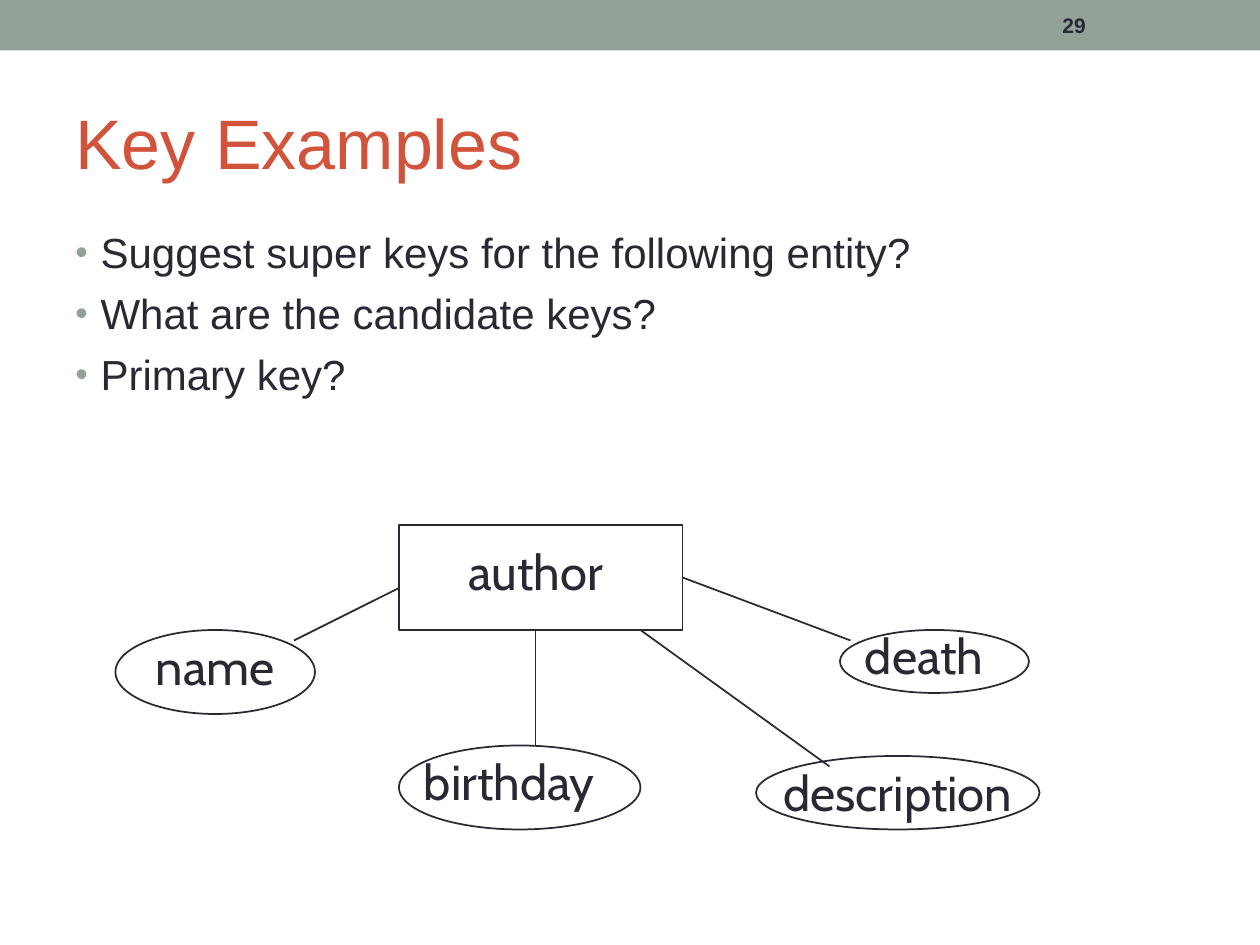
from dataclasses import dataclass

from lxml import etree
from pptx import Presentation
from pptx.dml.color import RGBColor
from pptx.enum.shapes import MSO_CONNECTOR, MSO_SHAPE
from pptx.enum.text import MSO_ANCHOR, PP_ALIGN
from pptx.oxml.ns import qn
from pptx.util import Inches, Pt

RECT, OVAL = MSO_SHAPE.RECTANGLE, MSO_SHAPE.OVAL
STRAIGHT = MSO_CONNECTOR.STRAIGHT
LEFT, CENTER = PP_ALIGN.LEFT, PP_ALIGN.CENTER
TOP, MIDDLE = MSO_ANCHOR.TOP, MSO_ANCHOR.MIDDLE
COLS, ROWS = 120, 90


@dataclass(frozen=True)
class Theme:
    """Colours, fonts and type sizes of the slide."""
    ink: str = "292934"
    accent: str = "D2533C"
    bar: str = "93A299"
    sans: str = "Arial"
    diagram: str = "Cabin"
    title: int = 40
    body: int = 24
    label: int = 28
    number: int = 12
    stroke: int = 1


class Builder:
    """Draws elements on one slide, placed by columns and rows of a grid."""

    def __init__(self, prs, theme):
        """Add a blank slide and measure its grid cell."""
        self.theme = theme
        self.s = prs.slides.add_slide(prs.slide_layouts[6])
        self.col, self.row = prs.slide_width / COLS, prs.slide_height / ROWS

    def place(self, x, y, w, h):
        """Turn grid units into slide lengths."""
        return (round(x * self.col), round(y * self.row),
                round(w * self.col), round(h * self.row))

    def stroke(self, line):
        """Apply the common outline."""
        line.color.rgb = RGBColor.from_string(self.theme.ink)
        line.width = Pt(self.theme.stroke)

    def shape(self, kind, box, fill=None):
        """Add a filled shape, or an outlined one when there is no fill."""
        sp = self.s.shapes.add_shape(kind, *self.place(*box))
        sp.shadow.inherit = False
        if fill:
            sp.fill.solid()
            sp.fill.fore_color.rgb = RGBColor.from_string(fill)
            sp.line.fill.background()
        else:
            sp.fill.background()
            self.stroke(sp.line)

    def line(self, x1, y1, x2, y2):
        """Join two grid points."""
        c = self.s.shapes.add_connector(STRAIGHT, *self.place(x1, y1, x2, y2))
        etree.SubElement(c._element.spPr, qn("a:effectLst"))
        self.stroke(c.line)

    def bullet(self, p):
        """Give a paragraph a hanging bullet."""
        pPr = p._p.get_or_add_pPr()
        pPr.set("marL", str(Inches(0.2)))
        pPr.set("indent", str(-Inches(0.2)))
        color = etree.SubElement(pPr, qn("a:buClr"))
        etree.SubElement(color, qn("a:srgbClr"), val=self.theme.bar)
        etree.SubElement(pPr, qn("a:buSzPct"), val="85000")
        etree.SubElement(pPr, qn("a:buFont"), typeface=self.theme.sans)
        etree.SubElement(pPr, qn("a:buChar"), char="•")

    def text(self, box, lines, size, font, color=None, bold=False,
             align=LEFT, anchor=TOP, bullets=False):
        """Add a text box with one paragraph for each line."""
        tf = self.s.shapes.add_textbox(*self.place(*box)).text_frame
        tf.word_wrap = True
        tf.vertical_anchor = anchor
        for i, line in enumerate(lines):
            p = tf.add_paragraph() if i else tf.paragraphs[0]
            p.alignment = align
            if i:
                p.space_before = Pt(6)
            if bullets:
                self.bullet(p)
            r = p.add_run()
            r.text = line
            r.font.size, r.font.name, r.font.bold = Pt(size), font, bold
            r.font.color.rgb = RGBColor.from_string(color or self.theme.ink)

    def label(self, text, x, y, w):
        """Add a centred diagram label."""
        self.text((x, y, w, 6.84), [text], self.theme.label,
                  self.theme.diagram, align=CENTER)


ENTITY = (38, 50, 27, 10)
LABELS = [
    ("author", 40, 51, 22),
    ("name", 12, 60, 17),
    ("birthday", 37, 71, 23),
    ("death", 75, 59, 26),
    ("description", 68, 72, 35),
]
ATTRIBUTES = [(11, 60, 19, 8), (38, 71, 23, 8), (80, 60, 18, 6), (72, 72, 27, 7)]
LINKS = [(38, 56, 28, 61), (51, 60, 51, 71), (61, 60, 79, 73), (65, 55, 81, 61)]
QUESTIONS = [
    "Suggest super keys for the following entity?",
    "What are the candidate keys?",
    "Primary key?",
]


def main():
    """Build the slide and save it."""
    prs = Presentation()
    prs.slide_width, prs.slide_height = Inches(10), Inches(7.5)
    t = Theme()
    b = Builder(prs, t)
    b.shape(RECT, (0, 0, COLS, 4.8), t.bar)
    b.text((6, 7, 108, 13), ["Key Examples"], t.title, t.sans, t.accent,
           anchor=MIDDLE)
    b.text((6, 21, 108, 64), QUESTIONS, t.body, t.sans, bullets=True)
    b.text((100, 0.25, 14, 4.3), ["29"], t.number, t.sans, bold=True,
           anchor=MIDDLE)
    b.shape(RECT, ENTITY)
    for label in LABELS:
        b.label(*label)
    for box in ATTRIBUTES:
        b.shape(OVAL, box)
    for link in LINKS:
        b.line(*link)
    prs.save("out.pptx")


if __name__ == "__main__":
    main()
